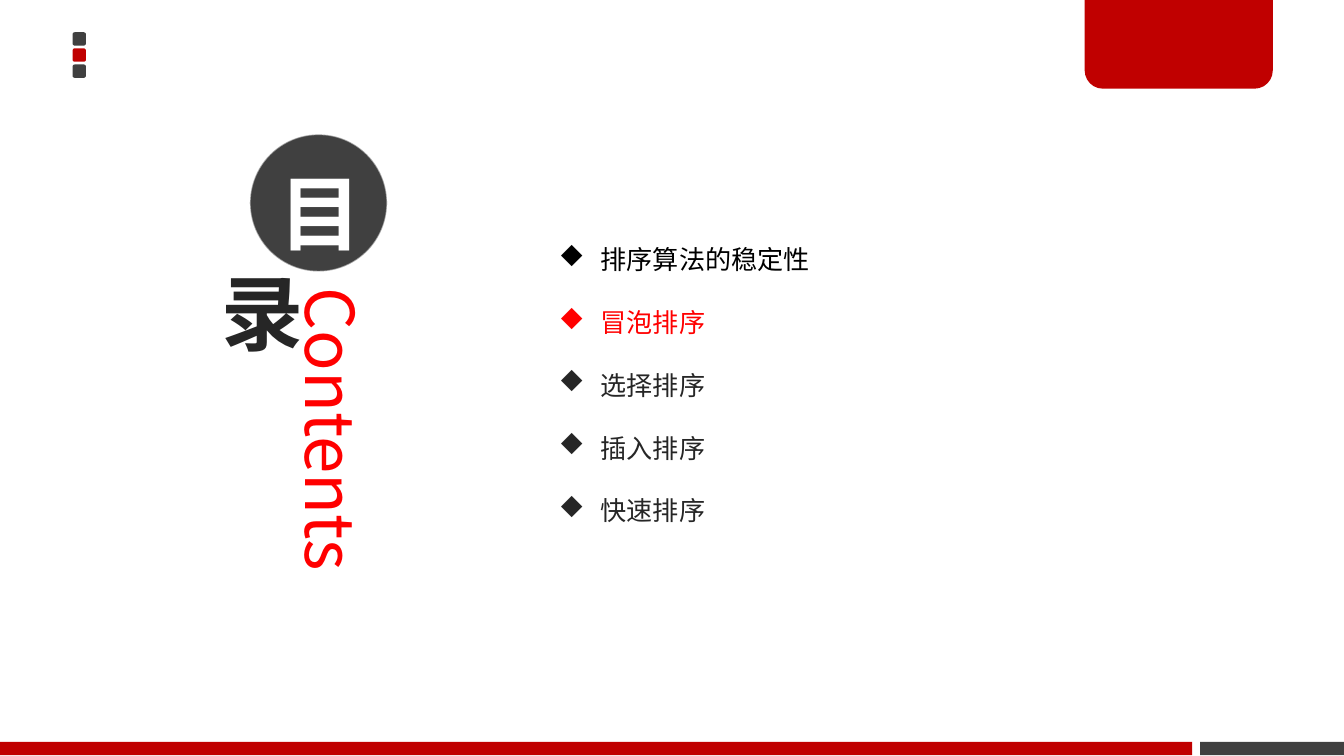
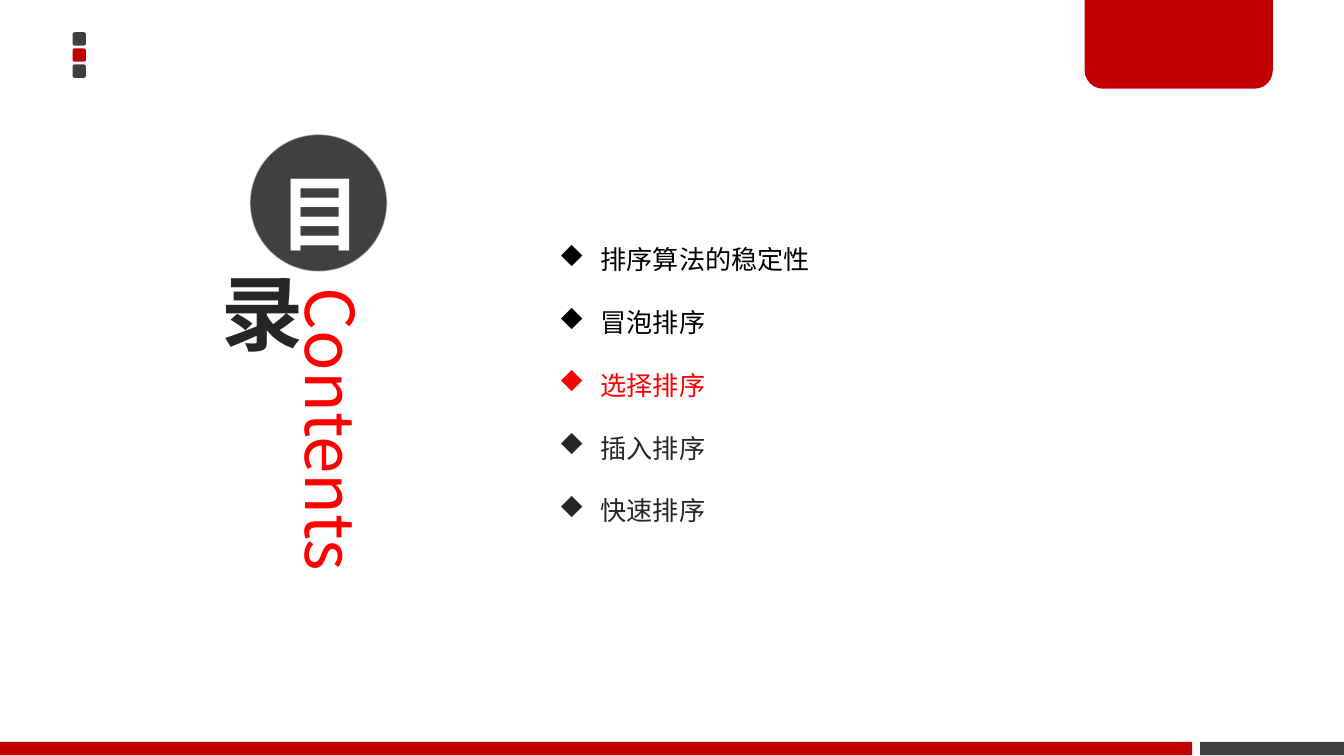
"""Build two agenda slides that highlight the current sorting topic."""
from lxml import etree
from pptx import Presentation
from pptx.dml.color import RGBColor
from pptx.enum.shapes import MSO_SHAPE
from pptx.enum.text import MSO_ANCHOR, MSO_AUTO_SIZE, PP_ALIGN
from pptx.oxml.ns import qn
from pptx.util import Inches, Pt

RECTANGLE, ROUNDED = MSO_SHAPE.RECTANGLE, MSO_SHAPE.ROUNDED_RECTANGLE
TAB, OVAL = MSO_SHAPE.ROUND_2_SAME_RECTANGLE, MSO_SHAPE.OVAL
TOP, MIDDLE = MSO_ANCHOR.TOP, MSO_ANCHOR.MIDDLE
LEFT, CENTER = PP_ALIGN.LEFT, PP_ALIGN.CENTER
NO_FIT, GROW = MSO_AUTO_SIZE.NONE, MSO_AUTO_SIZE.SHAPE_TO_FIT_TEXT

FONT = "Noto Sans CJK SC"
COLORS = {
    "band": "C00000",
    "gray": "404040",
    "white": "FFFFFF",
    "current": "FF0000",
    "done": "000000",
    "upcoming": "262626",
}
TOPICS = ["排序算法的稳定性", "冒泡排序", "选择排序", "插入排序", "快速排序"]
CURRENT_TOPICS = [1, 2]


def add_block(slide, kind, left, top, width, height, color=None):
    shape = slide.shapes.add_shape(
        kind, Inches(left), Inches(top), Inches(width), Inches(height))
    shape.shadow.inherit = False
    shape.line.fill.background()
    if color:
        shape.fill.solid()
        shape.fill.fore_color.rgb = RGBColor.from_string(COLORS[color])
    else:
        shape.fill.background()
    return shape


def add_text(paragraph, text, size, color, bold=False):
    run = paragraph.add_run()
    run.text = text
    run.font.size = Pt(size)
    run.font.bold = bold
    run.font.name = FONT
    run.font.color.rgb = RGBColor.from_string(COLORS[color])
    properties = run.font._element
    etree.SubElement(properties, qn("a:ea"), typeface=FONT)
    return properties


presentation = Presentation()
presentation.slide_width = Inches(10)
presentation.slide_height = Inches(10) * 9 // 16
layout = presentation.slide_layouts[5]
slides = [presentation.slides.add_slide(layout) for topic in CURRENT_TOPICS]

decorations = [
    add_block(slides[0], ROUNDED, 0.54, 0.24 + 0.12 * row, 0.1, 0.1, color)
    for row, color in enumerate(["gray", "band", "gray"])
]
decorations.append(add_block(slides[0], RECTANGLE, 8.93, 5.52, 1.07, 0.1, "gray"))
corner_tab = add_block(slides[0], TAB, 8.07, -0.02, 1.4, 0.68, "band")
corner_tab.rotation = 180
corner_tab.adjustments[0] = 0.2
decorations.append(corner_tab)
decorations.append(add_block(slides[0], RECTANGLE, 0, 5.52, 8.87, 0.1, "band"))
for shape in decorations:
    presentation.slide_master.shapes.element.append(shape.element)

for slide, current in zip(slides, CURRENT_TOPICS):
    title = slide.shapes.title
    title.left, title.top = Inches(2.14), Inches(2.1)
    title.width, title.height = Inches(0.7), Inches(2.89)
    frame = title.text_frame
    frame.word_wrap = True
    frame.auto_size = NO_FIT
    frame.vertical_anchor = TOP
    frame._bodyPr.set("vert", "eaVert")
    frame.paragraphs[0].alignment = LEFT
    add_text(frame.paragraphs[0], "Contents", 36, "current")

    circle = add_block(slide, OVAL, 1.86, 1, 1.02, 1.02, "gray")
    circle.line.color.rgb = RGBColor.from_string(COLORS["white"])
    circle.line.width = Pt(0)
    line_color = circle.line._ln.find(".//" + qn("a:srgbClr"))
    etree.SubElement(line_color, qn("a:alpha"), val="49000")
    circle.text_frame.paragraphs[0].line_spacing = Pt(70)
    add_text(circle.text_frame.paragraphs[0], "目", 44, "white", True)

    second = add_block(slide, OVAL, 1.46, 1.92, 0.8, 0.8)
    properties = add_text(second.text_frame.paragraphs[0], "录", 44, "upcoming", True)
    outline = etree.Element(qn("a:ln"), w=str(Pt(0.25)))
    outline_fill = etree.SubElement(outline, qn("a:solidFill"))
    etree.SubElement(outline_fill, qn("a:srgbClr"), val=COLORS["white"])
    properties.insert(0, outline)

    for shape, bottom in [(title, 0.04), (circle, 0.15), (second, 0.04)]:
        frame = shape.text_frame
        frame.margin_left = frame.margin_right = Inches(0.07)
        frame.margin_top, frame.margin_bottom = Inches(0.04), Inches(bottom)
    for shape in (circle, second):
        shape.text_frame.vertical_anchor = MIDDLE
        shape.text_frame.paragraphs[0].alignment = CENTER

    agenda = slide.shapes.add_textbox(
        Inches(4.06), Inches(1.53), Inches(4.72), Inches(2.39))
    frame = agenda.text_frame
    frame.word_wrap = True
    frame.auto_size = GROW
    for index, topic in enumerate(TOPICS):
        paragraph = frame.add_paragraph() if index else frame.paragraphs[0]
        settings = paragraph._p.get_or_add_pPr()
        settings.set("marL", str(Inches(0.31)))
        settings.set("indent", str(Inches(-0.31)))
        etree.SubElement(settings, qn("a:buFont"), typeface="Wingdings", charset="2")
        etree.SubElement(settings, qn("a:buChar"), char="u")
        paragraph.line_spacing = 2.0
        if index == current:
            color = "current"
        else:
            color = "done" if index < current else "upcoming"
        add_text(paragraph, topic, 14, color)

presentation.save("out.pptx")
